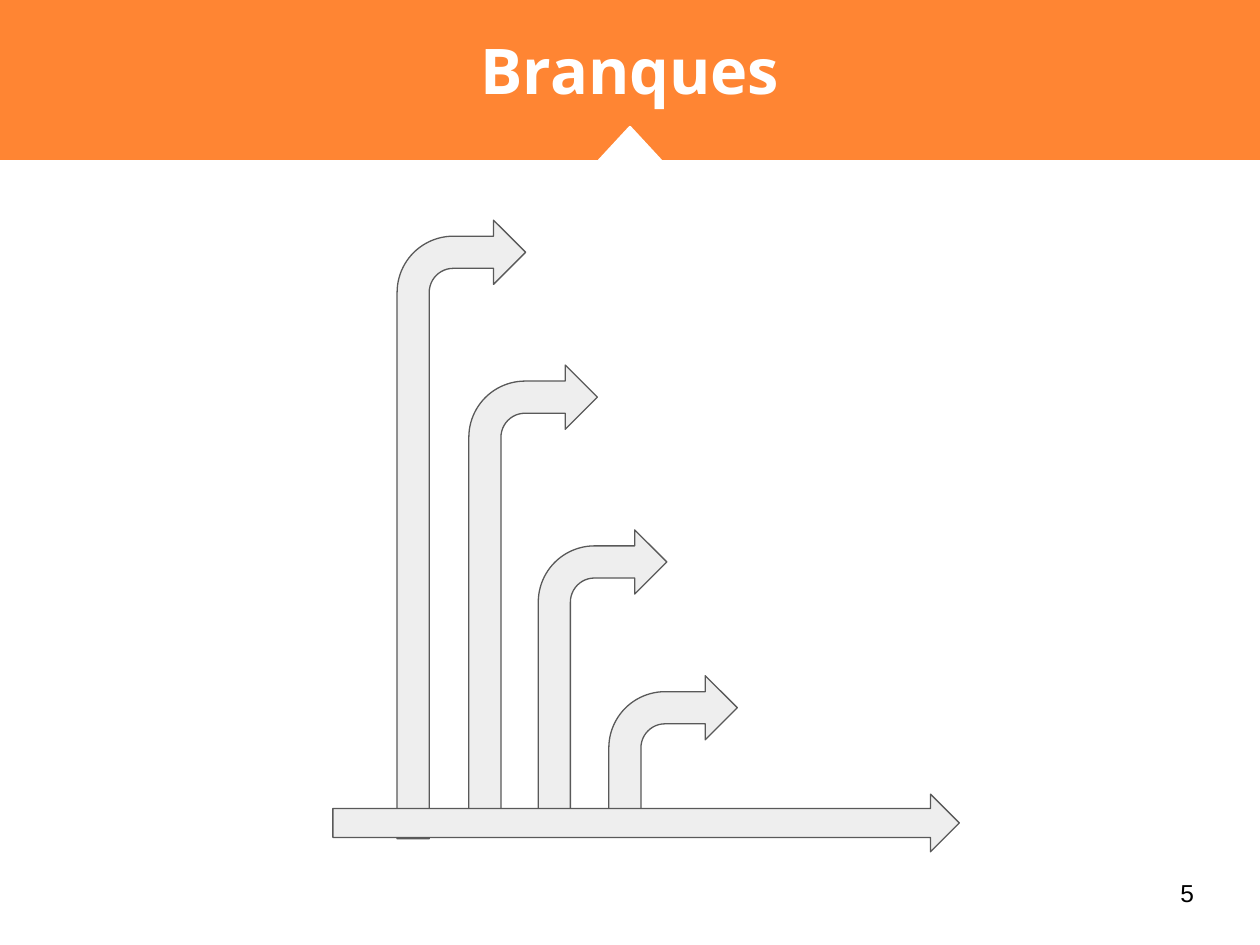
from pptx import Presentation
from pptx import util as u
from pptx.dml import color
from pptx.enum import shapes, text

COLORS = {
    "orange": "FF8533",
    "white": "FFFFFF",
    "black": "000000",
    "arrow": "EEEEEE",
    "outline": "595959",
}
SHAPE = shapes.MSO_SHAPE


def rgb(name):
    return color.RGBColor.from_string(COLORS[name])


def place(shape, box):
    shape.left, shape.top, shape.width, shape.height = map(u.Pt, box)


def add_shape(slide, kind, box, fill, line=None, line_width=0.75, adjustments=()):
    shape = slide.shapes.add_shape(kind, *map(u.Pt, box))
    shape.shadow.inherit = False
    shape.fill.solid()
    shape.fill.fore_color.rgb = rgb(fill)
    if line:
        shape.line.color.rgb = rgb(line)
        shape.line.width = u.Pt(line_width)
    else:
        shape.line.fill.background()
    for index, value in enumerate(adjustments):
        shape.adjustments[index] = value
    return shape


def write_text(shape, content, font, size, ink, bold=False, align=text.PP_ALIGN.LEFT):
    frame = shape.text_frame
    frame.word_wrap = True
    frame.auto_size = text.MSO_AUTO_SIZE.NONE
    frame.vertical_anchor = text.MSO_ANCHOR.MIDDLE
    frame.margin_left = frame.margin_right = u.Pt(7.2)
    frame.margin_top = frame.margin_bottom = u.Pt(7.2)
    frame.text = content
    paragraph = frame.paragraphs[0]
    paragraph.alignment = align
    run_font = paragraph.runs[0].font
    run_font.name = font
    run_font.size = u.Pt(size)
    run_font.bold = bold
    run_font.color.rgb = rgb(ink)


def add_header(slide, box, title_text):
    left, top, width, height = box
    bottom = top + height
    center = left + width / 2
    add_shape(slide, SHAPE.RECTANGLE, box, "orange")
    add_shape(slide, SHAPE.RECTANGLE, (left, bottom - 1.44, width, 1.44), "orange")
    add_shape(slide, SHAPE.ISOSCELES_TRIANGLE,
              (center - 18.72, bottom - 20.88, 37.44, 20.16), "orange")
    add_shape(slide, SHAPE.ISOSCELES_TRIANGLE,
              (center - 18, bottom - 18.72, 36, 19.44), "white", "white", 1.5)

    title = slide.shapes.title
    place(title, (left + 24.5, top + 9.4, width - 49, 59.8))
    write_text(title, title_text, "Open Sans", 36, "white", True, text.PP_ALIGN.CENTER)
    title.element.getparent().append(title.element)


def add_branches(slide, box):
    left, top, width, height = box
    branches = [(36.7, 0, 353.5), (77.7, 82.8, 258.5),
                (117.4, 177, 162.7), (157.7, 260.3, 79.2)]
    for branch_left, branch_top, branch_height in branches:
        add_shape(slide, SHAPE.BENT_ARROW,
                  (left + branch_left, top + branch_top, 73.44, branch_height),
                  "arrow", "outline", adjustments=(0.25, 0.25, 0.25, 0.4375))
    trunk_height = 33
    add_shape(slide, SHAPE.RIGHT_ARROW,
              (left, top + height - trunk_height, width, trunk_height),
              "arrow", "outline", adjustments=(0.5, 0.5))


def add_slide_number(slide, box, number):
    shape = slide.shapes.add_textbox(*map(u.Pt, box))
    write_text(shape, number, "Arial", 14, "black")


def main():
    presentation = Presentation()
    presentation.slide_width = u.Pt(720)
    presentation.slide_height = u.Pt(540)
    slide = presentation.slides.add_slide(presentation.slide_layouts[5])
    add_header(slide, (0, 0, 720, 91.44), "Branques")
    add_branches(slide, (190.2, 125.8, 358, 361))
    add_slide_number(slide, (667.4, 489.6, 43.2, 41), "5")
    presentation.save("out.pptx")


if __name__ == "__main__":
    main()
